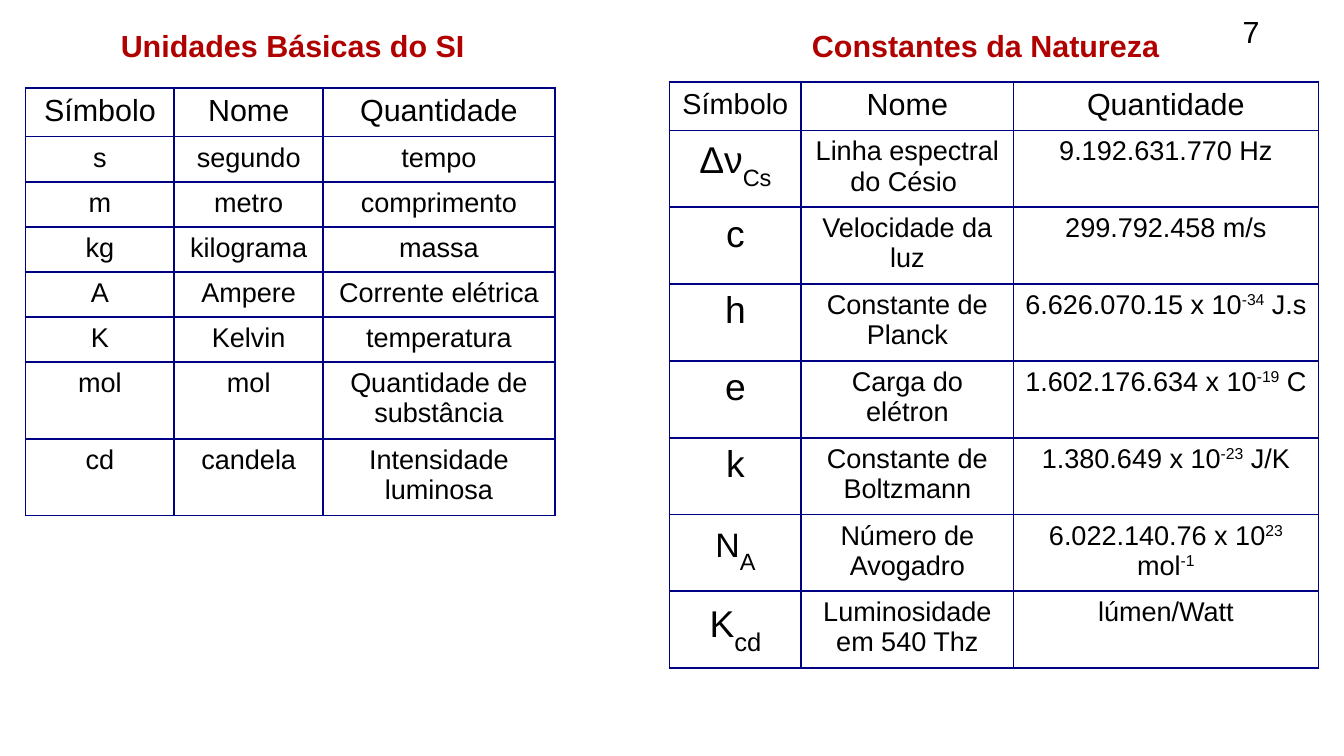
from lxml import etree
from pptx import Presentation
from pptx.dml.color import RGBColor
from pptx.enum import text
from pptx.oxml import ns
from pptx.util import Inches, Pt

# Content: a cell is a list of runs (text, size, baseline in percent)
BODY, HEAD, SYMBOL = 16, 18, 22
HEADINGS = ["Símbolo", "Nome", "Quantidade"]
PAGE = "7"
UNITS_TITLE = "Unidades Básicas do SI"
CONSTANTS_TITLE = "Constantes da Natureza"
UNITS = [
    ("s", "segundo", "tempo"),
    ("m", "metro", "comprimento"),
    ("kg", "kilograma", "massa"),
    ("A", "Ampere", "Corrente elétrica"),
    ("K", "Kelvin", "temperatura"),
    ("mol", "mol", "Quantidade de substância"),
    ("cd", "candela", "Intensidade luminosa"),
]
# Quantities alternate between normal text and superscript
CONSTANTS = [
    ([("Δν", SYMBOL, 0), ("Cs", 24, -33)], "Linha espectral do Césio ", ["9.192.631.770 Hz"]),
    ([("c", SYMBOL, 0)], "Velocidade da luz", ["299.792.458 m/s"]),
    ([("h", SYMBOL, 0)], "Constante de Planck", ["6.626.070.15 x 10", "-34", " J.s"]),
    ([("e", SYMBOL, 0)], "Carga do elétron", ["1.602.176.634 x 10", "-19", " C"]),
    ([("k", SYMBOL, 0)], "Constante de Boltzmann", ["1.380.649 x 10", "-23", " J/K"]),
    ([("N", 20, 0), ("A", 24, -33)], "Número de Avogadro", ["6.022.140.76 x 10", "23", " mol", "-1"]),
    ([("K", SYMBOL, 0), ("cd", 26, -33)], "Luminosidade em 540 Thz", ["lúmen/Watt"]),
]

# Grid, in inches
SLIDE = (11.02, 6.2)
HEAD_ROW, ONE_LINE, TWO_LINES = 0.4, 0.37, 0.63
UNIT_COLUMNS = [1.22, 1.22, 1.9]
CONSTANT_COLUMNS = [1.08, 1.74, 2.5]
CELL_MARGIN = 0.09
TITLE_WIDTH = 3.5

BLACK = RGBColor(0x00, 0x00, 0x00)
RED = RGBColor(0xB0, 0x00, 0x00)
NAVY = RGBColor(0x00, 0x00, 0x84)
FONT = "Arial"


def set_font(font, size, color, bold=False):
    font.name, font.size, font.bold = FONT, Pt(size), bold
    font.color.rgb = color


def write_label(label, words, left, top, width, color, bold):
    label.left, label.top = Inches(left), Inches(top)
    label.width, label.height = Inches(width), Inches(0.38)
    frame = label.text_frame
    frame.text = words
    frame.word_wrap = False
    frame.auto_size = text.MSO_AUTO_SIZE.NONE
    frame.vertical_anchor = text.MSO_ANCHOR.TOP
    paragraph = frame.paragraphs[0]
    paragraph.alignment = text.PP_ALIGN.LEFT
    set_font(paragraph.runs[0].font, HEAD, color, bold)


def outline(cell):
    cell.fill.background()
    properties = cell._tc.get_or_add_tcPr()
    for place, side in enumerate(("lnL", "lnR", "lnT", "lnB")):
        line = etree.Element(ns.qn("a:" + side), w=str(Pt(1.13)))
        fill = etree.SubElement(line, ns.qn("a:solidFill"))
        etree.SubElement(fill, ns.qn("a:srgbClr"), val=str(NAVY))
        properties.insert(place, line)


def add_grid(slide, left, top, columns, heights, rows):
    table = slide.shapes.add_table(
        len(rows), len(columns), Inches(left), Inches(top),
        Inches(sum(columns)), Inches(sum(heights))).table
    table.first_row = table.horz_banding = False
    for column, width in zip(table.columns, columns):
        column.width = Inches(width)
    for row, height, contents in zip(table.rows, heights, rows):
        row.height = Inches(height)
        for cell, runs in zip(row.cells, contents):
            outline(cell)
            cell.margin_left = cell.margin_right = Inches(CELL_MARGIN)
            paragraph = cell.text_frame.paragraphs[0]
            paragraph.alignment = text.PP_ALIGN.CENTER
            for words, size, baseline in runs:
                run = paragraph.add_run()
                run.text = words
                set_font(run.font, size, BLACK)
                if baseline:
                    run.font._element.set("baseline", str(baseline * 1000))


def plain(words, size=BODY):
    return [(words, size, 0)]


def with_powers(parts):
    return [(part, BODY, 33 * (i % 2)) for i, part in enumerate(parts)]


def main():
    deck = Presentation()
    deck.slide_width, deck.slide_height = map(Inches, SLIDE)
    slide = deck.slides.add_slide(deck.slide_layouts[5])

    # Titles and page number
    constants_title = slide.shapes.add_textbox(0, 0, 0, 0)
    page = slide.shapes.add_textbox(0, 0, 0, 0)
    write_label(slide.shapes.title, UNITS_TITLE, 0.89, 0.17, TITLE_WIDTH, RED, True)
    write_label(constants_title, CONSTANTS_TITLE, 6.56, 0.17, TITLE_WIDTH, RED, True)
    write_label(page, PAGE, 10.09, 0.06, 0.4, BLACK, False)

    # Base units
    unit_rows = [[plain(h, HEAD) for h in HEADINGS]]
    unit_rows += [[plain(words) for words in unit] for unit in UNITS]
    unit_heights = [HEAD_ROW] + [ONE_LINE] * 5 + [TWO_LINES] * 2
    add_grid(slide, 0.21, 0.72, UNIT_COLUMNS, unit_heights, unit_rows)

    # Constants of nature
    constant_rows = [[plain(h, size) for h, size in zip(HEADINGS, (17, HEAD, HEAD))]]
    constant_rows += [[symbol, plain(name), with_powers(quantity)]
                      for symbol, name, quantity in CONSTANTS]
    constant_heights = [HEAD_ROW] + [TWO_LINES] * len(CONSTANTS)
    add_grid(slide, 5.49, 0.67, CONSTANT_COLUMNS, constant_heights, constant_rows)

    deck.save("out.pptx")


if __name__ == "__main__":
    main()
